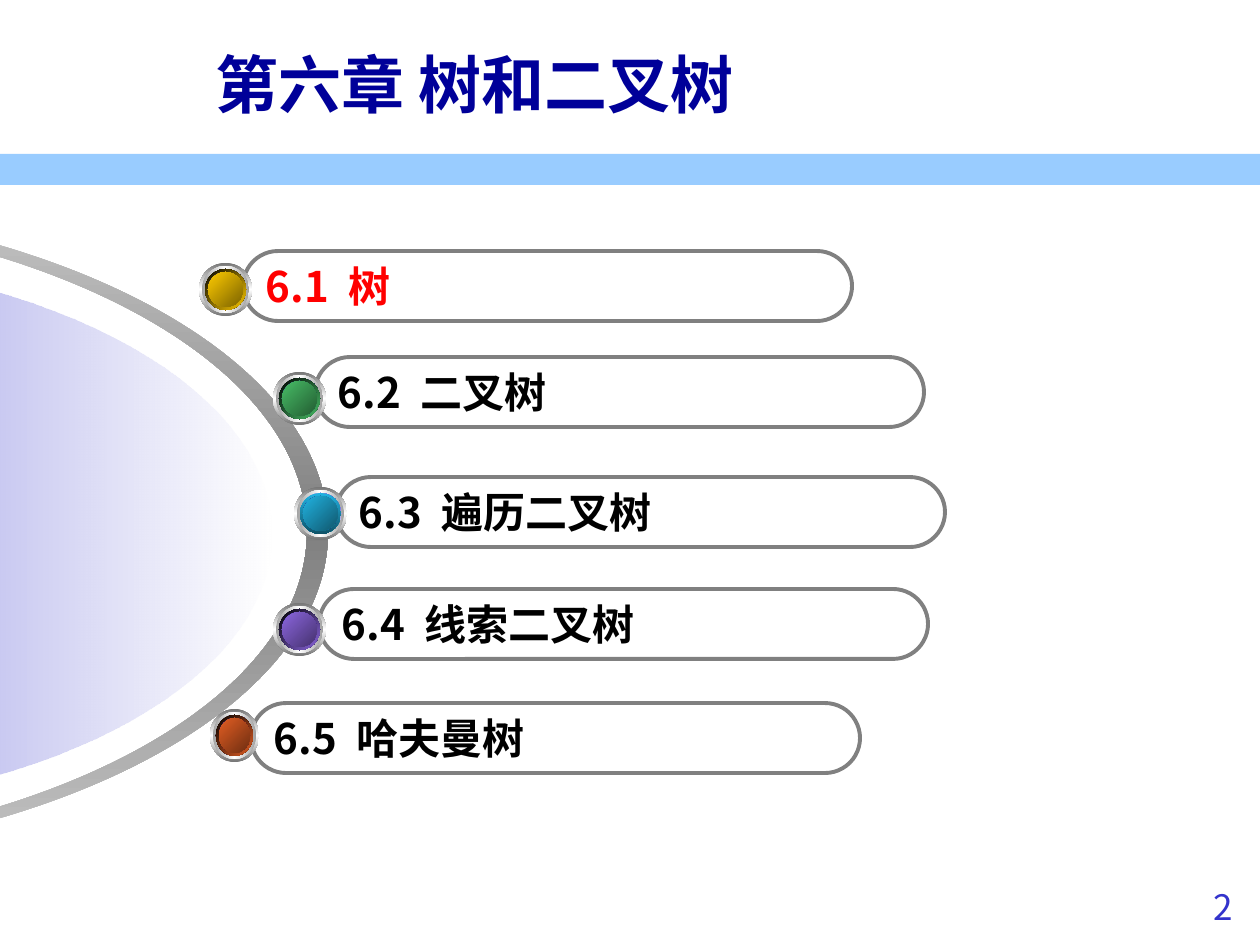
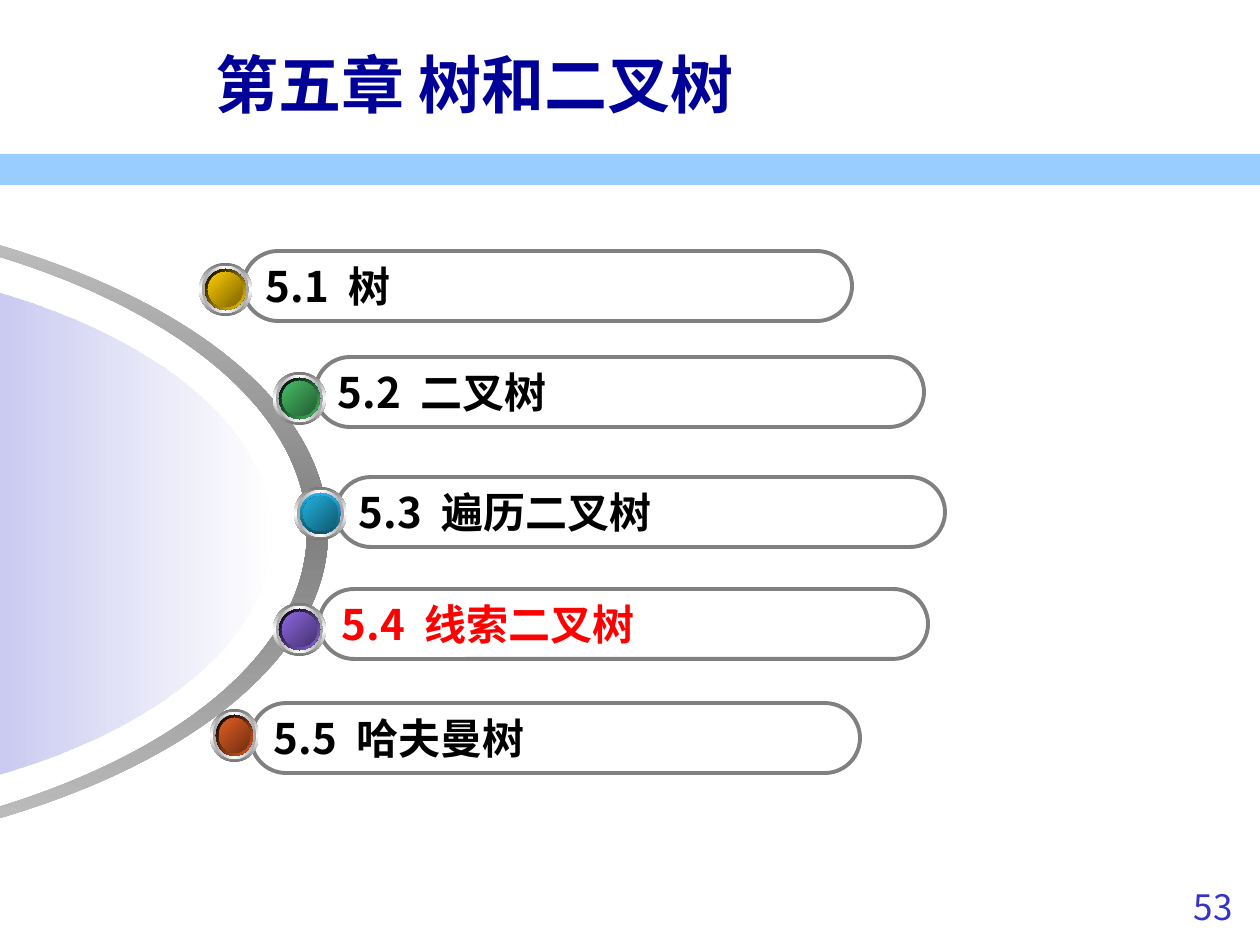
from lxml.etree import SubElement
from pptx import Presentation
from pptx.dml.color import RGBColor
from pptx.enum.shapes import MSO_SHAPE
from pptx.enum.text import MSO_ANCHOR, PP_ALIGN
from pptx.oxml.ns import qn
from pptx.util import Pt

NAVY = RGBColor(0x00, 0x00, 0x99)
BLUE = RGBColor(0x33, 0x33, 0xCC)
MIDNIGHT = RGBColor(0x1C, 0x1C, 0x6E)
SKY = RGBColor(0x99, 0xCC, 0xFF)
RED = RGBColor(0xFF, 0x00, 0x00)
BLACK = RGBColor(0x00, 0x00, 0x00)
WHITE = RGBColor(0xFF, 0xFF, 0xFF)
GRAY = RGBColor(0x80, 0x80, 0x80)
SILVER = RGBColor(0xC5, 0xC5, 0xC5)
STEEL = RGBColor(0x76, 0x76, 0x76)
ASH = RGBColor(0xA2, 0xA2, 0xA2)
YELLOW = RGBColor(0xFF, 0xCC, 0x00)
OLIVE = RGBColor(0x7C, 0x63, 0x00)
GREEN = RGBColor(0x48, 0xBE, 0x67)
FOREST = RGBColor(0x23, 0x5C, 0x32)
CYAN = RGBColor(0x21, 0xB3, 0xE1)
DEEP_TEAL = RGBColor(0x0F, 0x53, 0x68)
TEAL = RGBColor(0x10, 0x57, 0x6D)
VIOLET = RGBColor(0x8D, 0x67, 0xE1)
PLUM = RGBColor(0x45, 0x32, 0x6D)
ORANGE = RGBColor(0xE3, 0x5E, 0x23)
RUST = RGBColor(0x6E, 0x2E, 0x11)

FONT = "Noto Sans CJK SC"
PX = 914400 / 126
PAGE_WIDTH, PAGE_HEIGHT = 1260, 945

CHAPTERS = [
    {"title": "第六章 树和二叉树", "number": 6, "current": 1, "page": "2"},
    {"title": "第五章 树和二叉树", "number": 5, "current": 4, "page": "53"},
]
SECTIONS = [
    {"name": "树", "pill": (243, 251), "ball": (199, 263, 53),
     "rim": ([BLACK, YELLOW], 45), "face": [YELLOW, OLIVE]},
    {"name": "二叉树", "pill": (315, 357), "ball": (273, 372, 53),
     "rim": ([BLACK, GREEN], 45), "face": [GREEN, FOREST]},
    {"name": "遍历二叉树", "pill": (336, 477), "ball": (294, 487, 53),
     "rim": ([CYAN, DEEP_TEAL], 90), "face": [CYAN, TEAL]},
    {"name": "线索二叉树", "pill": (319, 589), "ball": (273, 603, 53),
     "rim": ([BLACK, VIOLET], 45), "face": [VIOLET, PLUM]},
    {"name": "哈夫曼树", "pill": (251, 703), "ball": (210, 709, 49),
     "rim": ([BLACK, ORANGE], 45), "face": [ORANGE, RUST]},
]
PILL_WIDTH, PILL_HEIGHT = 609, 70
NAME_TAB = 83
BALL_HEIGHT = 53

RING_START = (-330, 209)
RING_STEPS = [
    [(24, 212), (307, 355), (307, 532)],
    [(307, 708), (24, 852), (-330, 854)],
    [(-330, 864)],
    [(35, 862), (328, 713), (328, 532)],
    [(328, 350), (35, 202), (-330, 199)],
]
FAN_START = (-271, 256)
FAN_STEPS = [
    [(28, 256), (271, 381), (271, 534)],
    [(271, 688), (28, 811), (-271, 811)],
]


def emu(*lengths):
    return [round(length * PX) for length in lengths]


def paint_gradient(shape, colors, angle, opacities=()):
    shape.fill.gradient()
    shape.fill.gradient_angle = (360 - angle) % 360
    stops = shape._element.spPr.find(qn("a:gradFill")).find(qn("a:gsLst"))
    stops.clear()
    for index, color in enumerate(colors):
        position = str(100000 * index // (len(colors) - 1))
        stop = SubElement(stops, qn("a:gs"), pos=position)
        tint = SubElement(stop, qn("a:srgbClr"), val=str(color))
        if opacities:
            SubElement(tint, qn("a:alpha"), val=str(opacities[index] * 1000))
    shape.line.fill.background()
    shape.shadow.inherit = False


def add_span(para, text, size, color, bold=False):
    span = para.add_run()
    span.text = text
    span.font.name = FONT
    span.font.size = Pt(size)
    span.font.bold = bold
    span.font.color.rgb = color
    SubElement(span._r.get_or_add_rPr(), qn("a:ea"), typeface=FONT)


def add_label(page, place, text, size, color, bold=False,
              anchor=MSO_ANCHOR.TOP, align=PP_ALIGN.LEFT):
    frame = page.shapes.add_textbox(*emu(*place)).text_frame
    frame.word_wrap = True
    frame.vertical_anchor = anchor
    para = frame.paragraphs[0]
    para.alignment = align
    add_span(para, text, size, color, bold)


def add_curved_outline(page, start, steps):
    builder = page.shapes.build_freeform(*emu(*start))
    builder.add_line_segments([emu(*step[-1]) for step in steps], close=True)
    outline = builder.convert_to_shape()
    path = next(outline._element.iter(qn("a:path")))
    for line, step in zip(path.findall(qn("a:lnTo")), steps):
        if len(step) == 3:
            curve = SubElement(path, qn("a:cubicBezTo"))
            for point in step:
                x, y = emu(*point)
                SubElement(curve, qn("a:pt"), x=str(x - outline.left),
                           y=str(y - outline.top))
            path.replace(line, curve)
    return outline


def add_ball(page, section):
    left, top, width = section["ball"]
    layers = [
        (0, [STEEL, WHITE, STEEL], 90),
        (3, [ASH, WHITE, ASH], 0),
        (6, [WHITE, BLUE, WHITE], 45),
        (6, *section["rim"]),
        (9, [MIDNIGHT, BLUE, MIDNIGHT], 315),
        (9, section["face"], 45),
    ]
    group = page.shapes.add_group_shape()
    for inset, colors, angle in layers:
        disc = group.shapes.add_shape(MSO_SHAPE.OVAL, *emu(
            left + inset, top + inset, width - 2 * inset, BALL_HEIGHT - 2 * inset))
        paint_gradient(disc, colors, angle)


def add_pill(page, section, number, color):
    pill = page.shapes.add_shape(MSO_SHAPE.ROUNDED_RECTANGLE, *emu(
        *section["pill"], PILL_WIDTH, PILL_HEIGHT))
    pill.adjustments[0] = 0.5
    pill.shadow.inherit = False
    pill.fill.background()
    pill.line.color.rgb = GRAY
    pill.line.width = Pt(2.25)
    frame = pill.text_frame
    frame.word_wrap = True
    frame.vertical_anchor = MSO_ANCHOR.MIDDLE
    para = frame.paragraphs[0]
    para.alignment = PP_ALIGN.LEFT
    tabs = SubElement(para._p.get_or_add_pPr(), qn("a:tabLst"))
    SubElement(tabs, qn("a:tab"), pos=str(emu(NAME_TAB)[0]), algn="l")
    add_span(para, f"{number}\t{section['name']}", 24, color, True)


def add_chapter_page(deck, chapter):
    page = deck.slides.add_slide(deck.slide_layouts[6])
    band = page.shapes.add_shape(MSO_SHAPE.RECTANGLE, *emu(0, 154, PAGE_WIDTH, 31))
    band.shadow.inherit = False
    band.fill.solid()
    band.fill.fore_color.rgb = SKY
    band.line.fill.background()
    add_label(page, (1125, 879, 120, 65), chapter["page"], 20, BLUE,
              align=PP_ALIGN.RIGHT)
    ring = add_curved_outline(page, RING_START, RING_STEPS)
    paint_gradient(ring, [SILVER, GRAY, SILVER], 90)
    fan = add_curved_outline(page, FAN_START, FAN_STEPS)
    paint_gradient(fan, [BLUE, WHITE], 0, (56, 48))
    for index, section in reversed(list(enumerate(SECTIONS, 1))):
        color = RED if index == chapter["current"] else BLACK
        add_pill(page, section, f"{chapter['number']}.{index}", color)
    for section in SECTIONS:
        add_ball(page, section)
    add_label(page, (203, 25, 1032, 116), chapter["title"], 36, NAVY, True,
              MSO_ANCHOR.MIDDLE)


def main():
    deck = Presentation()
    deck.slide_width, deck.slide_height = emu(PAGE_WIDTH, PAGE_HEIGHT)
    for chapter in CHAPTERS:
        add_chapter_page(deck, chapter)
    deck.save("out.pptx")


if __name__ == "__main__":
    main()
